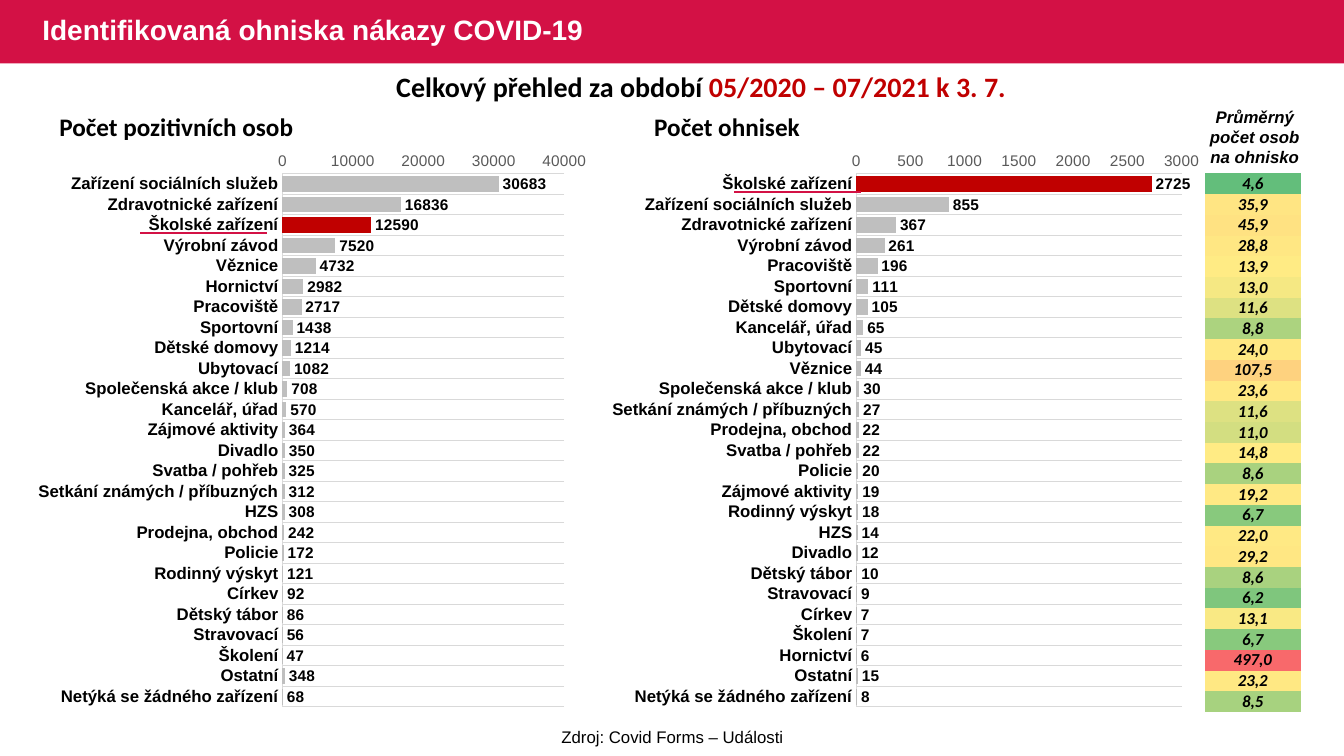
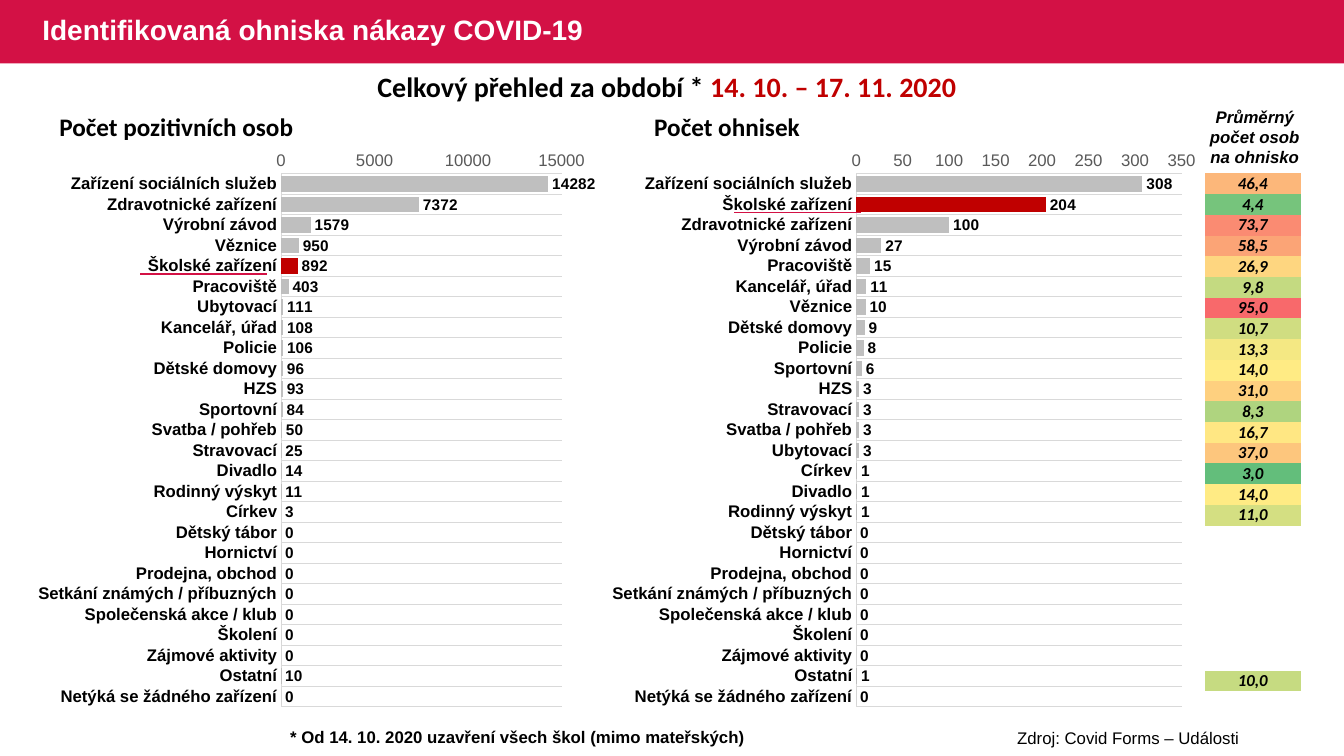
from lxml import etree
from pptx import Presentation
from pptx.chart.data import CategoryChartData
from pptx.dml.color import RGBColor
from pptx.enum.chart import XL_CHART_TYPE, XL_LABEL_POSITION, XL_TICK_MARK
from pptx.enum.shapes import MSO_CONNECTOR, MSO_SHAPE
from pptx.enum.text import MSO_ANCHOR, PP_ALIGN
from pptx.oxml.ns import qn
from pptx.util import Inches, Pt

CRIMSON = RGBColor(0xD3, 0x11, 0x45)
RED = RGBColor(0xC0, 0x00, 0x00)
BLACK = RGBColor(0x00, 0x00, 0x00)
WHITE = RGBColor(0xFF, 0xFF, 0xFF)
BAR_GREY = RGBColor(0xBF, 0xBF, 0xBF)
LINE_GREY = RGBColor(0xD9, 0xD9, 0xD9)
AXIS_GREY = RGBColor(0x59, 0x59, 0x59)
SCALE_LOW = RGBColor(0x63, 0xBE, 0x7B)
SCALE_MIDDLE = RGBColor(0xFF, 0xEB, 0x84)
SCALE_HIGH = RGBColor(0xF8, 0x69, 0x6B)

NO_TABLE_STYLE = "{2D5ABB26-0587-4C30-8999-92F81FD0307C}"
HIGHLIGHT = "Školské zařízení"
SOURCE = "Zdroj: Covid Forms – Události"
CHART_TOP, CHART_WIDTH, CHART_HEIGHT = 1.36, 5.91, 5.77
PLOT_TOP, PLOT_HEIGHT = 0.063, 0.917
TABLE_HEIGHT = 5.35

PAGES = [
    {
        "heading": ("Celkový přehled za období ", "05/2020 – 07/2021 k 3. 7."),
        "heading_left": 3.55,
        "source_at": (4.73, 7.16),
        "note": None,
        "axis_size": 11,
        "axes": [(40000, 10000), (3000, 500)],
        "people": {
            "Zařízení sociálních služeb": 30683, "Zdravotnické zařízení": 16836,
            "Školské zařízení": 12590, "Výrobní závod": 7520, "Věznice": 4732,
            "Hornictví": 2982, "Pracoviště": 2717, "Sportovní": 1438,
            "Dětské domovy": 1214, "Ubytovací": 1082,
            "Společenská akce / klub": 708, "Kancelář, úřad": 570,
            "Zájmové aktivity": 364, "Divadlo": 350, "Svatba / pohřeb": 325,
            "Setkání známých / příbuzných": 312, "HZS": 308,
            "Prodejna, obchod": 242, "Policie": 172, "Rodinný výskyt": 121,
            "Církev": 92, "Dětský tábor": 86, "Stravovací": 56, "Školení": 47,
            "Ostatní": 348, "Netýká se žádného zařízení": 68,
        },
        "outbreaks": {
            "Školské zařízení": 2725, "Zařízení sociálních služeb": 855,
            "Zdravotnické zařízení": 367, "Výrobní závod": 261,
            "Pracoviště": 196, "Sportovní": 111, "Dětské domovy": 105,
            "Kancelář, úřad": 65, "Ubytovací": 45, "Věznice": 44,
            "Společenská akce / klub": 30, "Setkání známých / příbuzných": 27,
            "Prodejna, obchod": 22, "Svatba / pohřeb": 22, "Policie": 20,
            "Zájmové aktivity": 19, "Rodinný výskyt": 18, "HZS": 14,
            "Divadlo": 12, "Dětský tábor": 10, "Stravovací": 9, "Církev": 7,
            "Školení": 7, "Hornictví": 6, "Ostatní": 15,
            "Netýká se žádného zařízení": 8,
        },
    },
    {
        "heading": ("Celkový přehled za období * ", "14. 10. – 17. 11. 2020"),
        "heading_left": 3.21,
        "source_at": (9.25, 7.17),
        "note": "* Od 14. 10. 2020 uzavření všech škol (mimo mateřských)",
        "axis_size": 12,
        "axes": [(15000, 5000), (350, 50)],
        "people": {
            "Zařízení sociálních služeb": 14282, "Zdravotnické zařízení": 7372,
            "Výrobní závod": 1579, "Věznice": 950, "Školské zařízení": 892,
            "Pracoviště": 403, "Ubytovací": 111, "Kancelář, úřad": 108,
            "Policie": 106, "Dětské domovy": 96, "HZS": 93, "Sportovní": 84,
            "Svatba / pohřeb": 50, "Stravovací": 25, "Divadlo": 14,
            "Rodinný výskyt": 11, "Církev": 3, "Dětský tábor": 0,
            "Hornictví": 0, "Prodejna, obchod": 0,
            "Setkání známých / příbuzných": 0, "Společenská akce / klub": 0,
            "Školení": 0, "Zájmové aktivity": 0, "Ostatní": 10,
            "Netýká se žádného zařízení": 0,
        },
        "outbreaks": {
            "Zařízení sociálních služeb": 308, "Školské zařízení": 204,
            "Zdravotnické zařízení": 100, "Výrobní závod": 27,
            "Pracoviště": 15, "Kancelář, úřad": 11, "Věznice": 10,
            "Dětské domovy": 9, "Policie": 8, "Sportovní": 6, "HZS": 3,
            "Stravovací": 3, "Svatba / pohřeb": 3, "Ubytovací": 3,
            "Církev": 1, "Divadlo": 1, "Rodinný výskyt": 1,
            "Dětský tábor": 0, "Hornictví": 0, "Prodejna, obchod": 0,
            "Setkání známých / příbuzných": 0, "Společenská akce / klub": 0,
            "Školení": 0, "Zájmové aktivity": 0, "Ostatní": 1,
            "Netýká se žádného zařízení": 0,
        },
    },
]


def set_font(font, size, color=BLACK, name="Arial", bold=False, italic=False):
    font.size, font.name = Pt(size), name
    font.bold, font.italic = bold, italic
    font.color.rgb = color


def add_text(page, at, text, size, align=PP_ALIGN.LEFT, wrap=True, **style):
    """Add a one-paragraph text box and return its paragraph."""
    frame = page.shapes.add_textbox(*map(Inches, at)).text_frame
    frame.word_wrap = wrap
    para = frame.paragraphs[0]
    para.add_run().text = text
    para.alignment = align
    set_font(para.font, size, **style)
    return para


deck = Presentation()
deck.slide_width, deck.slide_height = Inches(13.33), Inches(7.5)
layout = deck.slide_layouts[5]

for content in PAGES:
    page = deck.slides.add_slide(layout)
    title = page.shapes.title
    title.left, title.top = Inches(0.32), Inches(0)
    title.width, title.height = Inches(8.52), Inches(0.63)
    title.text_frame.text = "Identifikovaná ohniska nákazy COVID-19"
    title.text_frame.vertical_anchor = MSO_ANCHOR.MIDDLE
    para = title.text_frame.paragraphs[0]
    para.alignment = PP_ALIGN.LEFT
    para.line_spacing = 0.9
    set_font(para.font, 20, WHITE, bold=True)

    # Bar charts with headings and the underlined school category
    panels = [
        ("Počet pozitivních osob", content["people"], 0, 0.49, 1.39, 0.474, 0.473),
        ("Počet ohnisek", content["outbreaks"], 6.04, 6.39, 7.28, 0.415, 0.546),
    ]
    for panel, (axis_max, axis_step) in zip(panels, content["axes"]):
        heading, counts, left, heading_left, underline_left, plot_left, plot_width = panel
        chart_data = CategoryChartData()
        chart_data.categories = list(counts)
        chart_data.add_series(heading, list(counts.values()))
        chart = page.shapes.add_chart(
            XL_CHART_TYPE.BAR_CLUSTERED, Inches(left), Inches(CHART_TOP),
            Inches(CHART_WIDTH), Inches(CHART_HEIGHT), chart_data).chart
        chart.has_title = chart.has_legend = False
        set_font(chart.font, 10)

        category_axis = chart.category_axis
        category_axis.reverse_order = True
        category_axis.major_tick_mark = XL_TICK_MARK.NONE
        category_axis.has_major_gridlines = True
        for line in (category_axis.format.line, category_axis.major_gridlines.format.line):
            line.color.rgb = LINE_GREY
            line.width = Pt(0.75)
        set_font(category_axis.tick_labels.font, 12, bold=True)

        value_axis = chart.value_axis
        value_axis.minimum_scale, value_axis.maximum_scale = 0, axis_max
        value_axis.major_unit = axis_step
        value_axis.major_tick_mark = XL_TICK_MARK.NONE
        value_axis.has_major_gridlines = False
        value_axis.format.line.fill.background()
        set_font(value_axis.tick_labels.font, content["axis_size"], AXIS_GREY)

        plot = chart.plots[0]
        plot.gap_width, plot.overlap = 30, 100
        plot.vary_by_categories = False
        plot.has_data_labels = True
        plot.data_labels.show_value = True
        plot.data_labels.position = XL_LABEL_POSITION.OUTSIDE_END
        set_font(plot.data_labels.font, 11, bold=True)

        highlight_row = list(counts).index(HIGHLIGHT)
        for bar, color in ((plot.series[0], BAR_GREY),
                           (plot.series[0].points[highlight_row], RED)):
            bar.format.fill.solid()
            bar.format.fill.fore_color.rgb = color

        plot_area = chart.element.find(".//" + qn("c:plotArea"))
        for old_layout in plot_area.findall(qn("c:layout")):
            plot_area.remove(old_layout)
        plot_layout = etree.Element(qn("c:layout"))
        manual = etree.SubElement(plot_layout, qn("c:manualLayout"))
        for tag, value in (("layoutTarget", "inner"), ("xMode", "edge"), ("yMode", "edge"),
                           ("x", plot_left), ("y", PLOT_TOP),
                           ("w", plot_width), ("h", PLOT_HEIGHT)):
            etree.SubElement(manual, qn("c:" + tag), val=str(value))
        plot_area.insert(0, plot_layout)

        add_text(page, (heading_left, 1.06, 3.88, 0.4), heading, 18,
                 name="Calibri", bold=True)

        row_height = CHART_HEIGHT * PLOT_HEIGHT / len(counts)
        underline_top = Inches(1.7 + row_height * (highlight_row + 1))
        underline = page.shapes.add_connector(
            MSO_CONNECTOR.STRAIGHT, Inches(underline_left), underline_top,
            Inches(underline_left + 1.26), underline_top)
        underline.line.color.rgb = CRIMSON
        underline.line.width = Pt(1)
        etree.SubElement(underline.element.spPr, qn("a:effectLst"))

    # Headings and footnotes
    lead, period = content["heading"]
    para = add_text(page, (content["heading_left"], 0.64, 6.81, 0.44), lead, 20,
                    PP_ALIGN.CENTER, name="Calibri", bold=True)
    span = para.add_run()
    span.text = period
    span.font.color.rgb = RED
    add_text(page, (11.87, 1.01, 1.15, 0.71), "Průměrný počet osob na ohnisko", 12,
             PP_ALIGN.CENTER, bold=True, italic=True)
    add_text(page, (*content["source_at"], 3.88, 0.3), SOURCE, 12, PP_ALIGN.CENTER)
    if content["note"]:
        add_text(page, (2.78, 7.16, 4.77, 0.3), content["note"], 12, wrap=False, bold=True)

    # Average people per outbreak, on a colour scale around the median
    averages = [content["people"][place] / count if count else None
                for place, count in content["outbreaks"].items()]
    ranked = sorted(average for average in averages if average is not None)
    low, high = ranked[0], ranked[-1]
    median = (ranked[(len(ranked) - 1) // 2] + ranked[len(ranked) // 2]) / 2

    frame = page.shapes.add_table(len(averages), 1, Inches(11.95), Inches(1.72),
                                  Inches(0.95), Inches(TABLE_HEIGHT))
    frame.element.find(".//" + qn("a:tableStyleId")).text = NO_TABLE_STYLE
    table = frame.table
    table.first_row = table.horz_banding = False
    for row, average in zip(table.rows, averages):
        row.height = Inches(TABLE_HEIGHT / len(averages))
        cell = row.cells[0]
        cell.margin_left = cell.margin_right = Inches(0.01)
        cell.margin_top = cell.margin_bottom = 0
        cell.vertical_anchor = MSO_ANCHOR.MIDDLE
        para = cell.text_frame.paragraphs[0]
        para.alignment = PP_ALIGN.CENTER
        set_font(para.font, 12, name="Calibri", bold=True, italic=True)
        if average is None:
            cell.fill.background()
            etree.SubElement(para._p, qn("a:endParaRPr"), sz="1200")
            continue
        # The small addend rounds halves up
        para.add_run().text = f"{average + 1e-9:.1f}".replace(".", ",")
        if average <= median:
            start, end, share = SCALE_LOW, SCALE_MIDDLE, (average - low) / (median - low)
        else:
            start, end, share = SCALE_MIDDLE, SCALE_HIGH, (average - median) / (high - median)
        cell.fill.solid()
        cell.fill.fore_color.rgb = RGBColor(
            *(round(a + (b - a) * share) for a, b in zip(start, end)))

# The title band belongs to the layout, behind everything on the pages
band = page.shapes.add_shape(MSO_SHAPE.RECTANGLE, 0, 0, deck.slide_width, Inches(0.63))
band.shadow.inherit = False
band.fill.solid()
band.fill.fore_color.rgb = CRIMSON
band.line.fill.background()
layout.shapes.element.insert(2, band.element)

deck.save("out.pptx")
